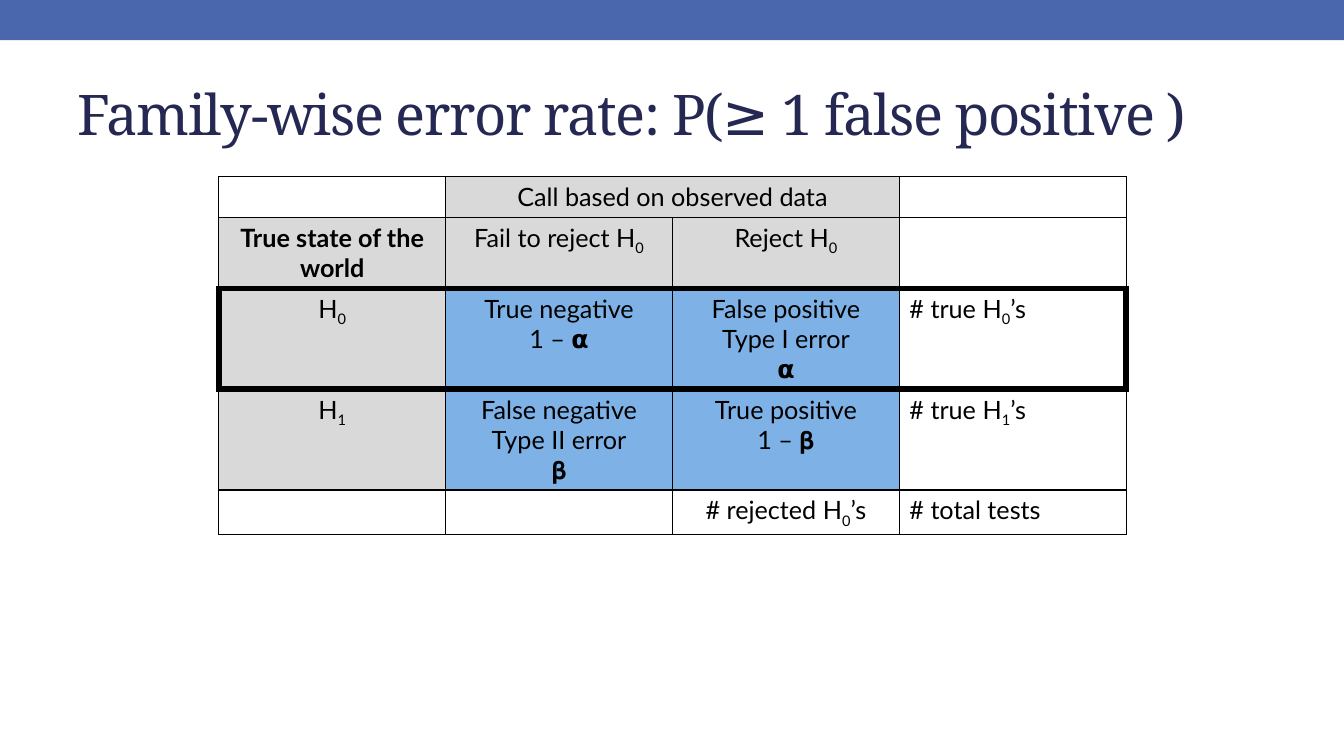
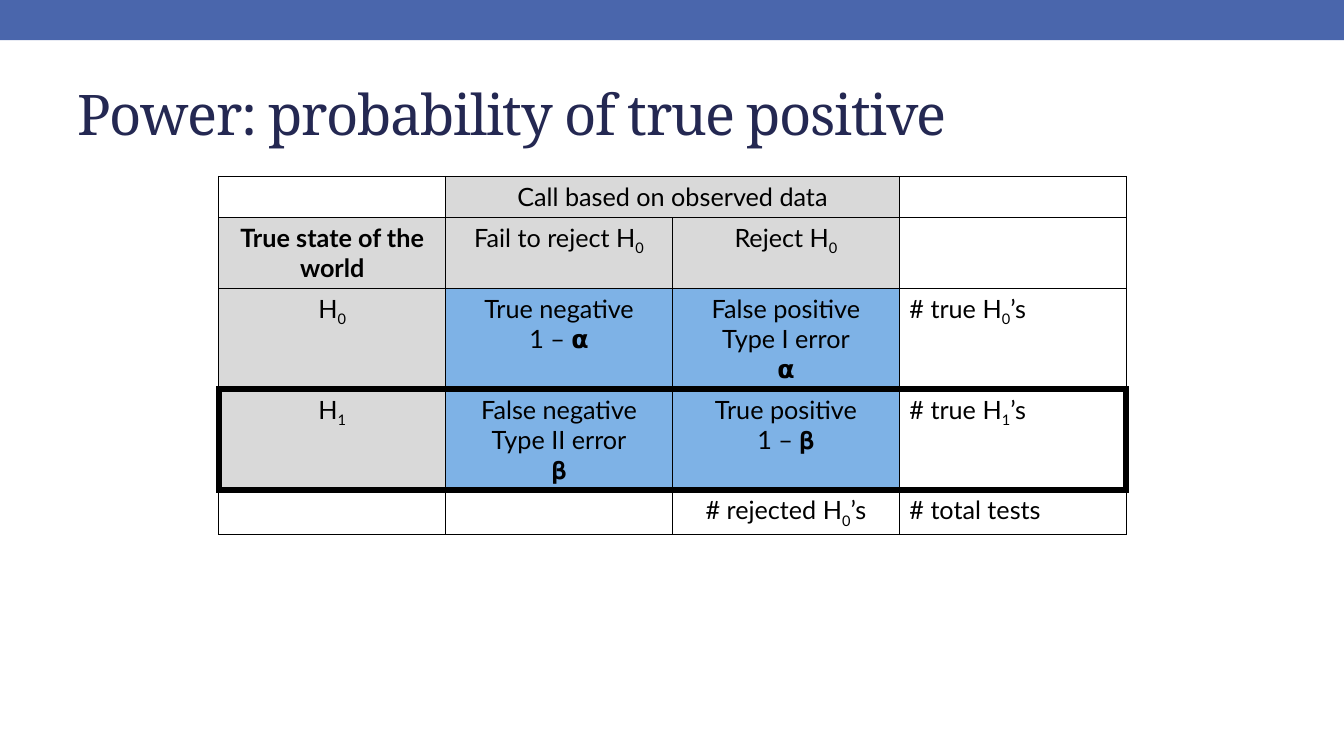
from lxml import etree
from pptx import Presentation, util as u
from pptx.dml.color import RGBColor
from pptx.enum import shapes, text
from pptx.oxml import ns

BLUE, NAVY, BLACK = "4A66AC", "242852", "000000"
FILLS = {"w": "FFFFFF", "g": "D9D9D9", "b": "7EB2E6"}
TITLE = {"name": "Noto Serif", "size": u.Pt(40)}
BODY = {"name": "Lato", "size": u.Pt(18), "bold": False}
HEAD = {**BODY, "bold": True}
THIN, THICK = 1, 4.5

# An underscore lowers the character after it; a newline starts a paragraph.
CELLS = [
    ["", "Call based on observed data", "", ""],
    ["True state of the world", "Fail to reject H_0", "Reject H_0", ""],
    ["H_0", "True negative\n1 – 𝝰", "False positive\nType I error\n𝝰",
     "# true H_0’s"],
    ["H_1", "False negative\nType II error\n𝛃", "True positive\n1 – 𝛃",
     "# true H_1’s"],
    ["", "", "# rejected H_0’s", "# total tests"],
]
SHADES = ["wggw", "gggw", "gbbw", "gbbw", "wwww"]
HEIGHTS = [0.41, 0.7, 1, 1, 0.41]
WIDTH = 2.25


def color(code):
    return RGBColor.from_string(code)


class Deck:
    def __init__(self):
        self.prs = Presentation()
        self.prs.slide_width = u.Inches(13.33)
        self.prs.slide_height = u.Inches(7.5)
        self.slide = None

    def page(self, title):
        """Start a slide with the top band and its title."""
        self.slide = self.prs.slides.add_slide(self.prs.slide_layouts[6])
        self.band()
        self.title(title)

    def band(self):
        bar = self.slide.shapes.add_shape(
            shapes.MSO_SHAPE.RECTANGLE, 0, 0,
            self.prs.slide_width, u.Inches(0.4))
        bar.shadow.inherit = False
        bar.fill.solid()
        bar.fill.fore_color.rgb = color(BLUE)
        bar.line.fill.background()

    def title(self, words):
        box = self.slide.shapes.add_textbox(
            *map(u.Inches, (0.67, 0.58, 12, 1.08)))
        frame = box.text_frame
        frame.word_wrap = True
        frame.vertical_anchor = text.MSO_ANCHOR.MIDDLE
        run = self.run(frame.paragraphs[0], words, TITLE, NAVY)
        run.font._element.set("spc", "-100")

    def run(self, para, words, style, ink=BLACK):
        run = para.add_run()
        run.text = words
        for key, value in style.items():
            setattr(run.font, key, value)
        run.font.color.rgb = color(ink)
        return run

    def label(self, cell, words, style, align):
        """Fill a cell with paragraphs and subscripts."""
        frame = cell.text_frame
        for num, line in enumerate(words.split("\n")):
            para = frame.add_paragraph() if num else frame.paragraphs[0]
            para.alignment = align
            start, *rest = line.split("_")
            if start:
                self.run(para, start, style)
            for part in rest:
                sub = self.run(para, part[0], style)
                sub.font._element.set("baseline", "-25000")
                if part[1:]:
                    self.run(para, part[1:], style)

    def edges(self, cell, widths):
        """Draw cell borders; widths maps L, R, T, B to points."""
        props = cell._tc.get_or_add_tcPr()
        for num, (side, width) in enumerate(widths.items()):
            line = etree.Element(ns.qn("a:ln" + side), w=str(u.Pt(width)))
            fill = etree.SubElement(line, ns.qn("a:solidFill"))
            etree.SubElement(fill, ns.qn("a:srgbClr"), val=BLACK)
            props.insert(num, line)

    def table(self, mark):
        """Add the table of outcomes with a thick frame round row mark."""
        rows, cols = len(CELLS), len(CELLS[0])
        grid = self.slide.shapes.add_table(
            rows, cols, *map(u.Inches, (2.17, 1.75, cols * WIDTH,
                                        sum(HEIGHTS)))).table
        grid.first_row = grid.horz_banding = False
        for col in grid.columns:
            col.width = u.Inches(WIDTH)
        for row, height in zip(grid.rows, HEIGHTS):
            row.height = u.Inches(height)
        for r, line in enumerate(CELLS):
            for c, words in enumerate(line):
                cell = grid.cell(r, c)
                cell.fill.solid()
                cell.fill.fore_color.rgb = color(FILLS[SHADES[r][c]])
                last = c == cols - 1
                align = text.PP_ALIGN.LEFT if last else text.PP_ALIGN.CENTER
                self.label(cell, words, HEAD if (r, c) == (1, 0) else BODY,
                           align)
                bold = {"L": r == mark and c == 0,
                        "R": r == mark and last,
                        "T": r in (mark, mark + 1),
                        "B": r in (mark - 1, mark)}
                self.edges(cell, {side: THICK if on else THIN
                                  for side, on in bold.items()})
        grid.cell(0, 1).merge(grid.cell(0, 2))


def main():
    deck = Deck()
    for title, mark in (
            ("Family-wise error rate: P(≥ 1 false positive )", 2),
            ("Power: probability of true positive", 3)):
        deck.page(title)
        deck.table(mark)
    deck.prs.save("out.pptx")


if __name__ == "__main__":
    main()
